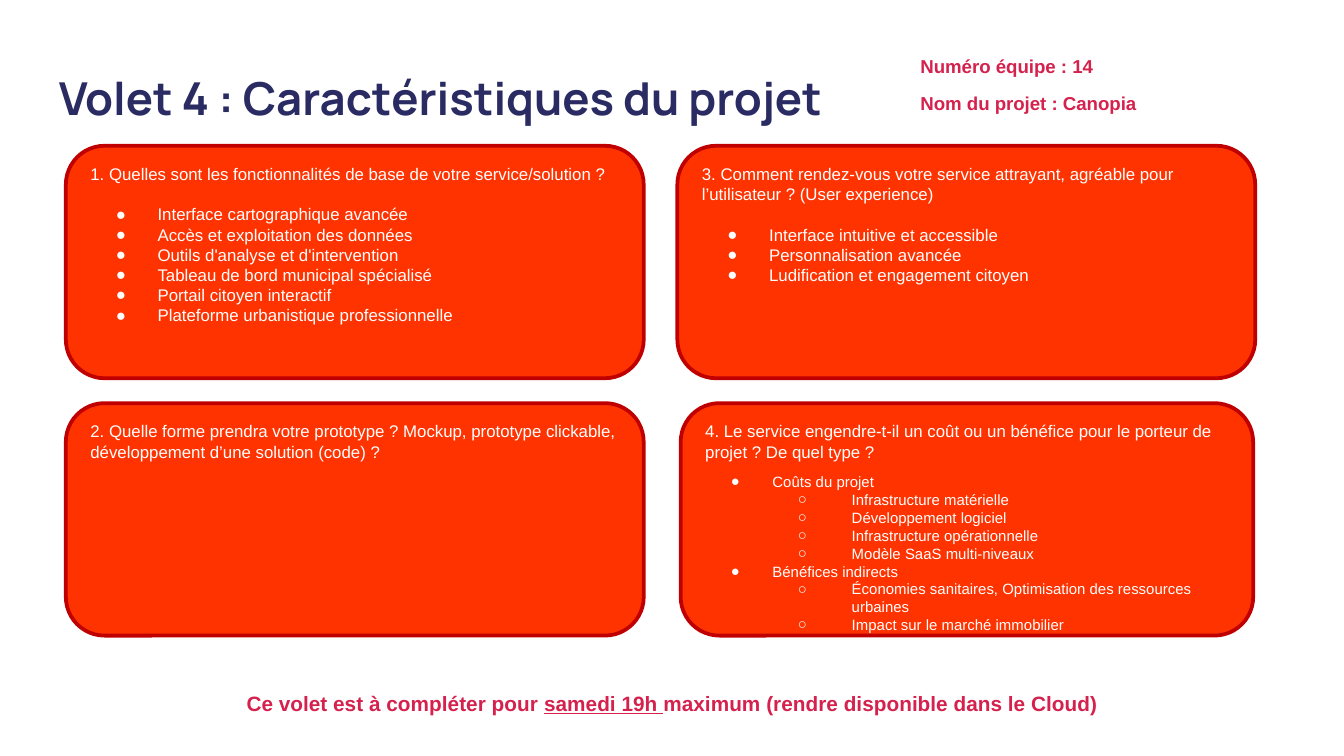
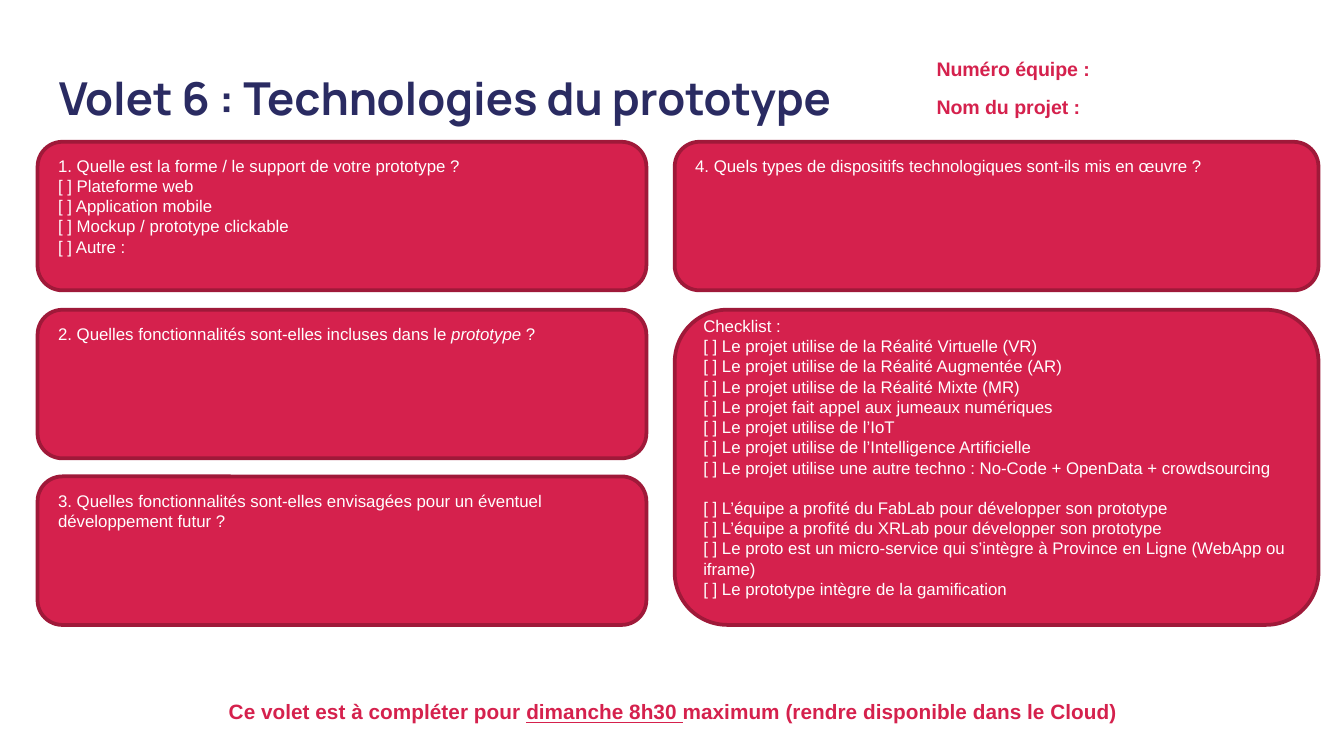
from lxml.etree import SubElement
from pptx import Presentation
from pptx.dml.color import RGBColor
from pptx.enum.shapes import MSO_SHAPE as Shape
from pptx.enum.text import MSO_ANCHOR as Anchor, PP_ALIGN as Align
from pptx.oxml.ns import qn
from pptx.util import Emu, Pt

PX = 4572  # 200 px to the inch
COLORS = {
    "navy": "2A2B62",
    "white": "FFFFFF",
    "crimson": "D5214D",
    "crimson_edge": "9F1939",
    "orange": "FF3300",
    "orange_edge": "C00000",
}
BLANK_LINE = 10.8  # height of one line of card text, in points
# Bullet levels: sign, left margin, hanging indent
BULLETS = [("●", 100, -62), ("○", 218, -80)]


def px(value):
    return Emu(value * PX)


def color(name):
    return RGBColor.from_string(COLORS[name])


# Text
def add_bullet(paragraph, level, size):
    sign, margin, indent = BULLETS[level]
    paragraph.level = level
    properties = paragraph._p.get_or_add_pPr()
    properties.set("marL", str(px(margin)))
    properties.set("indent", str(px(indent)))
    tint = SubElement(properties, qn("a:buClr"))
    SubElement(tint, qn("a:srgbClr")).set("val", COLORS["white"])
    SubElement(properties, qn("a:buSzPts")).set("val", str(size * 100))
    SubElement(properties, qn("a:buFont")).set("typeface", "Arial")
    SubElement(properties, qn("a:buChar")).set("char", sign)


def write(frame, text, size=9, tint="white", font="Arial", bold=False, align=Align.LEFT,
          line=None, before=0, after=0, bullet=None):
    """Add a paragraph; text is a string or a list of (string, emphasis) pairs."""
    paragraph = frame.paragraphs[0]
    if paragraph.runs:
        paragraph = frame.add_paragraph()
    if bullet is not None:
        add_bullet(paragraph, bullet, size)
    paragraph.alignment = align
    paragraph.line_spacing = line
    paragraph.space_before, paragraph.space_after = Pt(before), Pt(after)
    for words, emphasis in [(text, None)] if isinstance(text, str) else text:
        run = paragraph.add_run()
        run.text = words
        run.font.name, run.font.size, run.font.bold = font, Pt(size), bold
        run.font.color.rgb = color(tint)
        if emphasis == "italic":
            run.font.italic = True
        elif emphasis == "underline":
            run.font.underline = True


def set_frame(frame, anchor, side, top, bottom):
    frame.word_wrap = True
    frame.vertical_anchor = anchor
    frame.margin_left = frame.margin_right = px(side)
    frame.margin_top, frame.margin_bottom = px(top), px(bottom)


def add_box(slide, left, top, width, height, anchor=Anchor.TOP, inset=20):
    frame = slide.shapes.add_textbox(px(left), px(top), px(width), px(height)).text_frame
    set_frame(frame, anchor, 20, inset, inset)
    return frame


# Parts that both slides share
def add_header(slide, title, team, project, left, top, width, height, size):
    write(add_box(slide, 68, 82, 1864, 126, Anchor.MIDDLE, inset=16), title,
          size=24.3, tint="navy", font="Manrope", bold=True)
    frame = add_box(slide, left, top, width, height)
    style = dict(size=size, tint="crimson", bold=True, line=1.15)
    write(frame, team, **style)
    write(frame, project, before=6, after=6, **style)


def add_footer(slide, deadline, left, top, width, height):
    runs = [("Ce volet est à compléter pour ", None), (deadline + " ", "underline"),
            ("maximum (rendre disponible dans le Cloud)", None)]
    write(add_box(slide, left, top, width, height), runs, size=11.1, tint="crimson",
          bold=True, align=Align.CENTER, line=1.15, after=12)


def add_card(slide, theme, left, top, width, height, question, anchor=Anchor.TOP, bottom=10):
    card = slide.shapes.add_shape(Shape.ROUNDED_RECTANGLE,
                                  px(left), px(top), px(width), px(height))
    card.shadow.inherit = False
    card.fill.solid()
    card.fill.fore_color.rgb = color(theme)
    card.line.color.rgb = color(theme + "_edge")
    card.line.width = Pt(2)
    set_frame(card.text_frame, anchor, 20, 10, bottom)
    write(card.text_frame, question)
    return card.text_frame


def add_answers(frame, answers, gap, size=9):
    for index, (level, answer) in enumerate(answers):
        write(frame, answer, size=size, bullet=level, before=0 if index else gap)


def add_checks(frame, labels, before=0):
    for index, label in enumerate(labels):
        write(frame, "[ ] " + label, before=0 if index else before)


# Slides
def build_features(slide):
    add_header(slide, "Volet 4 : Caractéristiques du projet", "Numéro équipe : 14",
               "Nom du projet : Canopia", 1350, 56, 516, 160, size=10)
    left, upper, lower, width, height = 98, 217, 600, 860, 346

    functions = add_card(
        slide, "orange", left, upper, width, height,
        "1. Quelles sont les fonctionnalités de base de votre service/solution ?")
    add_answers(functions, [
        (0, "Interface cartographique avancée"),
        (0, "Accès et exploitation des données"),
        (0, "Outils d'analyse et d'intervention"),
        (0, "Tableau de bord municipal spécialisé"),
        (0, "Portail citoyen interactif"),
        (0, "Plateforme urbanistique professionnelle"),
    ], BLANK_LINE)

    add_card(slide, "orange", left, lower, width, height,
             "2. Quelle forme prendra votre prototype ? Mockup, prototype clickable, "
             "développement d’une solution (code) ?")

    experience = add_card(
        slide, "orange", 1008, upper, width, height,
        "3. Comment rendez-vous votre service attrayant, agréable pour l’utilisateur ? "
        "(User experience)")
    add_answers(experience, [
        (0, "Interface intuitive et accessible"),
        (0, "Personnalisation avancée"),
        (0, "Ludification et engagement citoyen"),
    ], BLANK_LINE)

    costs = add_card(
        slide, "orange", 1013, lower, 852, height,
        "4. Le service engendre-t-il un coût ou un bénéfice pour le porteur de projet ? "
        "De quel type ?")
    add_answers(costs, [
        (0, "Coûts du projet"),
        (1, "Infrastructure matérielle"),
        (1, "Développement logiciel"),
        (1, "Infrastructure opérationnelle"),
        (1, "Modèle SaaS multi-niveaux"),
        (0, "Bénéfices indirects"),
        (1, "Économies sanitaires, Optimisation des ressources urbaines"),
        (1, "Impact sur le marché immobilier"),
    ], 6, size=8)

    add_footer(slide, "samedi 19h", 320, 1002, 1360, 124)


def build_technologies(slide):
    add_header(slide, "Volet 6 : Technologies du prototype", "Numéro équipe :",
               "Nom du projet :", 1374, 60, 612, 274, size=10.5)
    left, right, left_width, right_width = 56, 1004, 906, 958
    first, second, third, height = 211, 461, 709, 221
    centered = dict(anchor=Anchor.MIDDLE, bottom=40)

    support = add_card(slide, "crimson", left, first, left_width, height,
                       "1. Quelle est la forme / le support de votre prototype ?", **centered)
    add_checks(support, ["Plateforme web", "Application mobile",
                         "Mockup / prototype clickable", "Autre :"])

    add_card(slide, "crimson", left, second, left_width, height, [
        ("2. Quelles fonctionnalités sont-elles incluses dans le ", None),
        ("prototype ", "italic"), ("?", None)])
    add_card(slide, "crimson", left, third, left_width, height,
             "3. Quelles fonctionnalités sont-elles envisagées pour un éventuel "
             "développement futur ?")
    add_card(slide, "crimson", right, first, right_width, height,
             "4. Quels types de dispositifs technologiques sont-ils mis en œuvre ?")

    checklist = add_card(slide, "crimson", right, second, right_width,
                         third + height - second, "Checklist :", **centered)
    add_checks(checklist, [
        "Le projet utilise de la Réalité Virtuelle (VR)",
        "Le projet utilise de la Réalité Augmentée (AR)",
        "Le projet utilise de la Réalité Mixte (MR)",
        "Le projet fait appel aux jumeaux numériques",
        "Le projet utilise de l’IoT",
        "Le projet utilise de l’Intelligence Artificielle",
        "Le projet utilise une autre techno : No-Code + OpenData + crowdsourcing",
    ])
    add_checks(checklist, [
        "L’équipe a profité du FabLab pour développer son prototype",
        "L’équipe a profité du XRLab pour développer son prototype",
        "Le proto est un micro-service qui s’intègre à Province en Ligne (WebApp ou iframe)",
        "Le prototype intègre de la gamification",
    ], before=BLANK_LINE)

    add_footer(slide, "dimanche 8h30", 282, 1015, 1438, 128)


def main():
    presentation = Presentation()
    presentation.slide_width, presentation.slide_height = px(2000), px(1125)
    blank = presentation.slide_layouts[6]
    for build in (build_features, build_technologies):
        build(presentation.slides.add_slide(blank))
    presentation.save("out.pptx")


if __name__ == "__main__":
    main()
